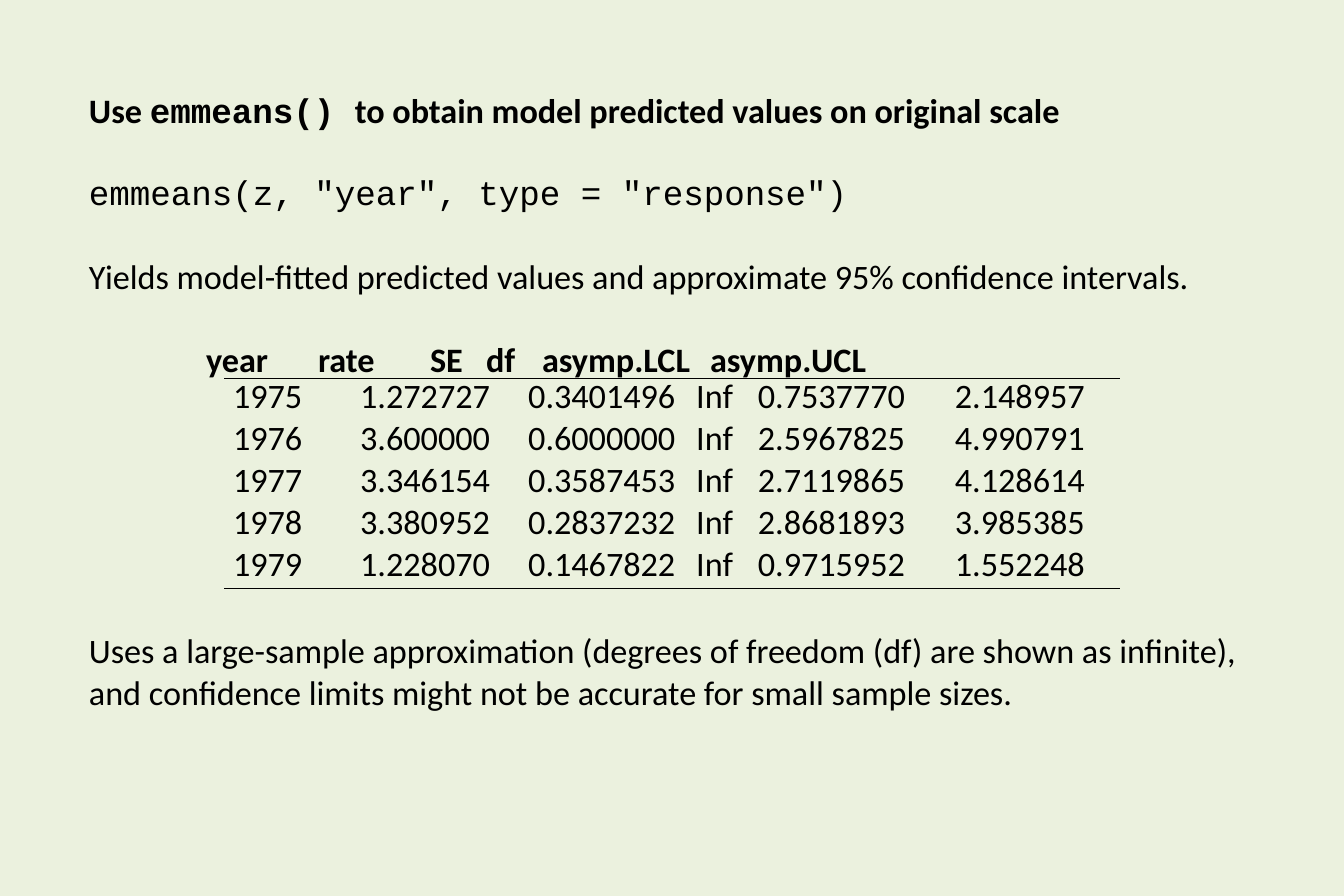
"""Build the slide on model predicted values from emmeans()."""
from pptx import Presentation
from pptx.dml.color import RGBColor
from pptx.enum.text import MSO_ANCHOR as ANCHOR, MSO_AUTO_SIZE as AUTO, PP_ALIGN as ALIGN
from pptx.oxml import parse_xml
from pptx.oxml.ns import nsdecls
from pptx.util import Pt

PX = 914400 // 112
SANS, MONO = "Calibri", "Courier New"


def color(value):
    return RGBColor.from_string(value)


def write(p, runs, tabs=(), **fmt):
    pPr = p._p.get_or_add_pPr()
    pPr.set("marL", str(fmt.pop("indent", 0) * PX))
    pPr.set("indent", "0")
    pPr.append(parse_xml(f"<a:buNone {nsdecls('a')}/>"))
    if tabs:
        stops = "".join(f'<a:tab pos="{x * PX}" algn="l"/>' for x in tabs)
        pPr.append(parse_xml(f"<a:tabLst {nsdecls('a')}>{stops}</a:tabLst>"))
    bold = fmt.pop("bold", False)
    for name, value in ({"alignment": ALIGN.LEFT, "space_before": Pt(0)} | fmt).items():
        setattr(p, name, value)
    for text, face in runs:
        r = p.add_run()
        r.text = text
        for name, value in {"name": face, "size": Pt(22), "bold": bold}.items():
            setattr(r.font, name, value)
        r.font.color.rgb = color("000000")


prs = Presentation()
prs.slide_width, prs.slide_height = 1344 * PX, 896 * PX
s = prs.slides.add_slide(prs.slide_layouts[1])
s.background.fill.solid()
s.background.fill.fore_color.rgb = color("EBF1DE")

title, body = s.placeholders
header, note = [s.shapes.add_textbox(0, 0, PX, PX) for _ in range(2)]
boxes = [
    (title, 89, 89, 1113, 43),
    (body, 89, 171, 1113, 125),
    (header, 206, 338, 960, 42),
    (note, 89, 629, 1157, 86),
]
for sp, *box in boxes:
    sp.left, sp.top, sp.width, sp.height = [v * PX for v in box]
    frame = {"word_wrap": True, "auto_size": AUTO.NONE, "vertical_anchor": ANCHOR.TOP,
             "margin_left": 0, "margin_top": 0, "margin_right": 0, "margin_bottom": 0}
    for name, value in frame.items():
        setattr(sp.text_frame, name, value)

write(title.text_frame.paragraphs[0],
      [("Use ", SANS), ("emmeans() ", MONO),
       ("to obtain model predicted values on original scale", SANS)], bold=True)
write(body.text_frame.paragraphs[0], [('emmeans(z, "year", type = "response")', MONO)])
write(body.text_frame.add_paragraph(),
      [("Yields model-fitted predicted values and approximate 95% confidence intervals.", SANS)],
      space_before=Pt(28))
write(header.text_frame.paragraphs[0], [("year\trate\tSE\tdf\tasymp.LCL\tasymp.UCL", SANS)],
      tabs=(217, 385, 512, 579, 777), bold=True)
write(note.text_frame.paragraphs[0],
      [("Uses a large-sample approximation (degrees of freedom (df) are shown as infinite), "
        "and confidence limits might not be accurate for small sample sizes.", SANS)],
      line_spacing=1.02)

rates = [
    ("1975", "1.272727\t0.3401496\tInf", "0.7537770", "2.148957"),
    ("1976", "3.600000\t0.6000000\tInf", "2.5967825", "4.990791"),
    ("1977", "3.346154\t0.3587453\tInf", "2.7119865", "4.128614"),
    ("1978", "3.380952\t0.2837232\tInf", "2.8681893", "3.985385"),
    ("1979", "1.228070\t0.1467822\tInf", "0.9715952", "1.552248"),
]
columns = [
    (108, {"indent": 9}),
    (401, {"alignment": ALIGN.RIGHT, "tabs": (147, 311)}),
    (197, {"alignment": ALIGN.CENTER}),
    (190, {"indent": 25}),
]
table = s.shapes.add_table(len(rates), len(columns), 224 * PX, 378 * PX, 896 * PX, 210 * PX).table
table.first_row = table.horz_banding = False
table._tbl.tblPr[0].text = "{2D5ABB26-0587-4C30-8999-92F81FD0307C}"
for col, (width, _) in zip(table.columns, columns):
    col.width = width * PX
for i, values in enumerate(rates):
    table.rows[i].height = 42 * PX
    for j, value in enumerate(values):
        cell = table.cell(i, j)
        cell.margin_left = cell.margin_top = cell.margin_right = cell.margin_bottom = 0
        for edge, row in (("lnT", 0), ("lnB", len(rates) - 1)):
            if i == row:
                cell._tc.get_or_add_tcPr().append(parse_xml(
                    f'<a:{edge} {nsdecls("a")} w="6350"><a:solidFill>'
                    f'<a:srgbClr val="000000"/></a:solidFill></a:{edge}>'))
        cell.fill.background()
        write(cell.text_frame.paragraphs[0], [(value, SANS)],
              line_spacing=Pt(25.4), **columns[j][1])

prs.save("out.pptx")
